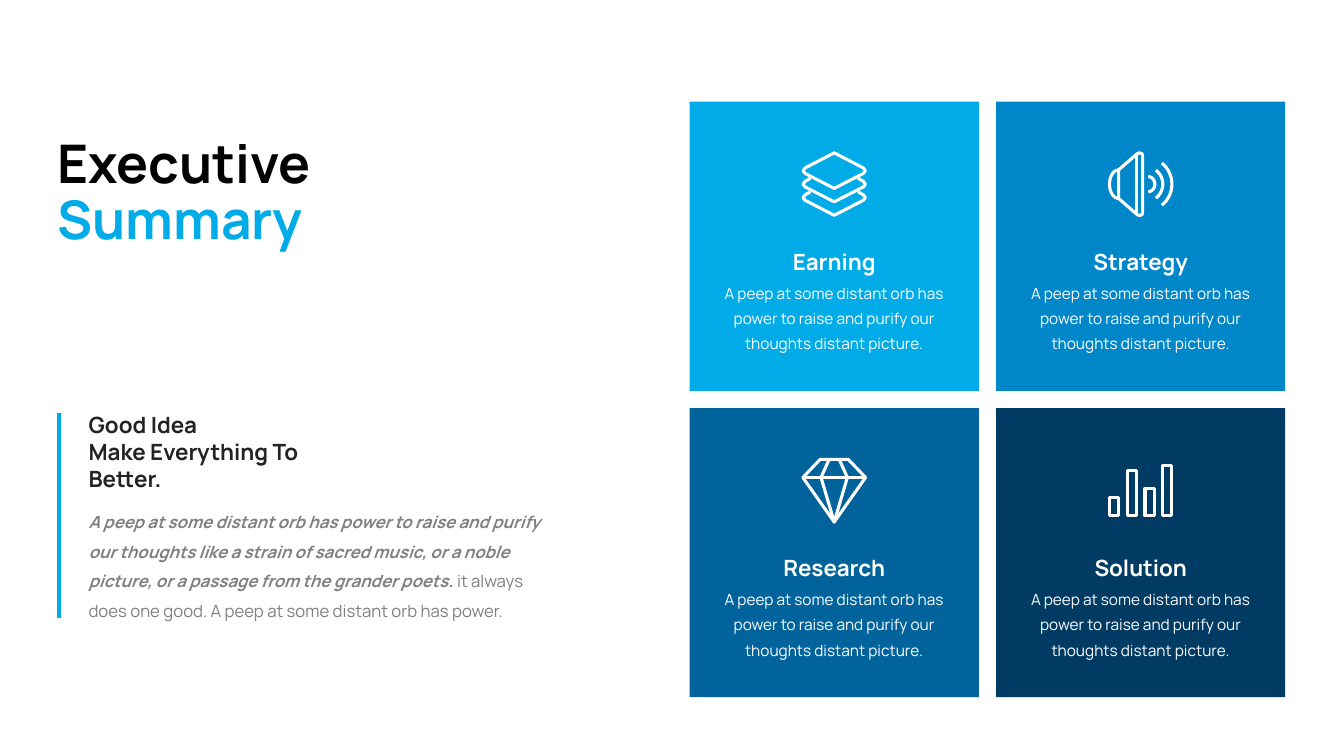
from dataclasses import dataclass, field
from math import cos, radians, sin
from typing import NamedTuple

from lxml import etree
from pptx import Presentation
from pptx.dml.color import RGBColor
from pptx.enum.shapes import MSO_CONNECTOR, MSO_SHAPE
from pptx.enum.text import MSO_AUTO_SIZE, PP_ALIGN
from pptx.oxml.ns import qn
from pptx.util import Pt

STRAIGHT = MSO_CONNECTOR.STRAIGHT
RECTANGLE = MSO_SHAPE.RECTANGLE
FIT_TEXT = MSO_AUTO_SIZE.SHAPE_TO_FIT_TEXT
LEFT, CENTER = PP_ALIGN.LEFT, PP_ALIGN.CENTER

Point = tuple[float, float]


def text_format(size: float, color: str, bold: bool = False, italic: bool = False) -> dict:
    return {"name": "Manrope", "size": Pt(size), "bold": bold, "italic": italic,
            "color": RGBColor.from_string(color)}


@dataclass(frozen=True)
class Theme:
    white: str = "FFFFFF"
    sky: str = "00ABE7"
    blue: str = "0087CA"
    ocean: str = "00639B"
    navy: str = "003B64"
    icon_stroke: float = 2.2
    rule_stroke: float = 3
    heading: dict = field(default_factory=lambda: text_format(38, "000000", bold=True))
    heading_accent: dict = field(default_factory=lambda: text_format(38, "00ABE7", bold=True))
    tagline: dict = field(default_factory=lambda: text_format(16, "232323", bold=True))
    quote: dict = field(default_factory=lambda: text_format(12, "808080", bold=True, italic=True))
    body: dict = field(default_factory=lambda: text_format(12, "808080"))
    card_title: dict = field(default_factory=lambda: text_format(16, "FFFFFF", bold=True))
    card_text: dict = field(default_factory=lambda: text_format(11, "FFFFFF"))


THEME = Theme()


class Box(NamedTuple):
    left: float
    top: float
    width: float
    height: float


class Run(NamedTuple):
    text: str
    style: dict


class Stroke(NamedTuple):
    points: list[Point]
    closed: bool = False


@dataclass(frozen=True)
class Card:
    title: str
    title_width: float
    color: str
    icon: list[Stroke]


def arc(center_x: float, radius_x: float, radius_y: float, sweep: float, steps: int = 16) -> Stroke:
    angles = [radians(sweep * (2 * i / steps - 1)) for i in range(steps + 1)]
    return Stroke([(center_x + radius_x * cos(a), radius_y * sin(a)) for a in angles])


def mirrored(right_half: list[Point]) -> list[Point]:
    return right_half + [(-x, y) for x, y in reversed(right_half)]


def layers_icon() -> list[Stroke]:
    sheet = [(0, -22.4), (20.8, -11.6), (22.3, -9.6), (20.8, -7.7), (0, 3)]
    lower_edge = [(17, -13.8), *sheet[1:]]
    lower_sheets = [Stroke(mirrored([(x, y + drop) for x, y in lower_edge])) for drop in (9.6, 19.2)]
    return [Stroke(mirrored(sheet), True), *lower_sheets]


def speaker_icon() -> list[Stroke]:
    cone_top = [(-15.8, -10.2), (-2.5, -21.8), (-0.8, -22.4), (0.9, -21.8), (1.4, -20.2)]
    cone = cone_top + [(x, -y) for x, y in reversed(cone_top)]
    return [
        Stroke(cone, True),
        Stroke([(-2.9, -21.4), (-2.9, 21.4)]),
        arc(-15.8, -6.5, 10.2, 90),
        arc(5.4, 4.7, 5.4, 90),
        arc(3.3, 12.5, 12.5, 53),
        arc(2.9, 19.4, 19.4, 51),
    ]


def diamond_icon() -> list[Stroke]:
    tip, crown, girdle = 22.4, -22.4, -9.4
    return [
        Stroke([(-10, crown), (10, crown), (22.4, girdle), (0, tip), (-22.4, girdle)], True),
        Stroke([(-22.4, girdle), (22.4, girdle)]),
        Stroke(mirrored([(3.6, crown), (9.4, girdle), (0, tip)])),
    ]


def bars_icon() -> list[Stroke]:
    base, width, step = 18, 6.5, 12.7
    lefts = [-22.3 + step * i for i in range(4)]
    return [Stroke([(x, base), (x, top), (x + width, top), (x + width, base)], True)
            for x, top in zip(lefts, (5, -14.4, -1.4, -18))]


CARDS = [
    Card("Earning", 78.5, THEME.sky, layers_icon()),
    Card("Strategy", 86.4, THEME.blue, speaker_icon()),
    Card("Research", 92.2, THEME.ocean, diamond_icon()),
    Card("Solution", 82.8, THEME.navy, bars_icon()),
]
CARD_TEXT = "A peep at some distant orb has power to raise and purify our thoughts distant picture."
GRID_LEFT, GRID_TOP = 492.6, 72.6
CARD_SIZE, CARD_STEP = 206.6, 218.9
COLUMNS = 2


def add_text(slide, box: Box, paragraphs: list[list[Run]], wrap: bool = True,
             align: PP_ALIGN = LEFT, spacing: float | None = None) -> None:
    frame = slide.shapes.add_textbox(*map(Pt, box)).text_frame
    frame.word_wrap = wrap
    frame.auto_size = FIT_TEXT
    for index, runs in enumerate(paragraphs):
        paragraph = frame.add_paragraph() if index else frame.paragraphs[0]
        paragraph.alignment = align
        if spacing:
            paragraph.line_spacing = Pt(spacing)
        for text, style in runs:
            run = paragraph.add_run()
            run.text = text
            for attribute, value in style.items():
                if attribute == "color":
                    run.font.color.rgb = value
                else:
                    setattr(run.font, attribute, value)


def add_icon(slide, center: Point, strokes: list[Stroke]) -> None:
    def placed(points: list[Point]) -> list[Point]:
        return [(Pt(center[0] + x), Pt(center[1] + y)) for x, y in points]

    builder = None
    for stroke in strokes:
        start, *others = placed(stroke.points)
        if builder is None:
            builder = slide.shapes.build_freeform(*start)
        else:
            builder.move_to(*start)
        builder.add_line_segments(others, close=stroke.closed)
    icon = builder.convert_to_shape()
    icon.shadow.inherit = False
    icon.fill.background()
    icon.line.color.rgb = RGBColor.from_string(THEME.white)
    icon.line.width = Pt(THEME.icon_stroke)
    etree.SubElement(icon.line._get_or_add_ln(), qn("a:round"))


def add_card(slide, card: Card, left: float, top: float) -> None:
    tile = slide.shapes.add_shape(RECTANGLE, *map(Pt, (left, top, CARD_SIZE, CARD_SIZE)))
    tile.shadow.inherit = False
    tile.fill.solid()
    tile.fill.fore_color.rgb = RGBColor.from_string(card.color)
    tile.line.fill.background()
    middle = left + CARD_SIZE / 2
    add_icon(slide, (middle, top + 59), card.icon)
    add_text(slide, Box(middle - 86, top + 121.8, 172, 59.8),
             [[Run(CARD_TEXT, THEME.card_text)]], align=CENTER, spacing=18)
    add_text(slide, Box(middle - card.title_width / 2, top + 100.9, card.title_width, 26.6),
             [[Run(card.title, THEME.card_title)]], wrap=False, align=CENTER)


def add_accent_rule(slide, x: float, top: float, bottom: float) -> None:
    rule = slide.shapes.add_connector(STRAIGHT, *map(Pt, (x, top, x, bottom)))
    rule.line.color.rgb = RGBColor.from_string(THEME.sky)
    rule.line.width = Pt(THEME.rule_stroke)
    etree.SubElement(rule._element.spPr, qn("a:effectLst"))


def main() -> None:
    deck = Presentation()
    deck.slide_width, deck.slide_height = Pt(960), Pt(540)
    slide = deck.slides.add_slide(deck.slide_layouts[6])
    add_text(slide, Box(33.8, 95, 211.7, 88.6),
             [[Run("Executive", THEME.heading)], [Run("Summary", THEME.heading_accent)]],
             wrap=False, spacing=40)
    add_text(slide, Box(56.2, 355.7, 342.7, 90), [[
        Run("A peep at some distant orb has power to raise and purify our thoughts like a strain "
            "of sacred music, or a noble picture, or a passage from the grander poets. ", THEME.quote),
        Run("it always does one good. A peep at some distant orb has power.", THEME.body),
    ]], spacing=21)
    add_text(slide, Box(56.2, 290.2, 171.4, 65.5),
             [[Run("Good Idea", THEME.tagline)], [Run("Make Everything To Better.", THEME.tagline)]])
    for index, card in enumerate(CARDS):
        row, column = divmod(index, COLUMNS)
        add_card(slide, card, GRID_LEFT + column * CARD_STEP, GRID_TOP + row * CARD_STEP)
    add_accent_rule(slide, 42, 295.2, 441.4)
    deck.save("out.pptx")


if __name__ == "__main__":
    main()
